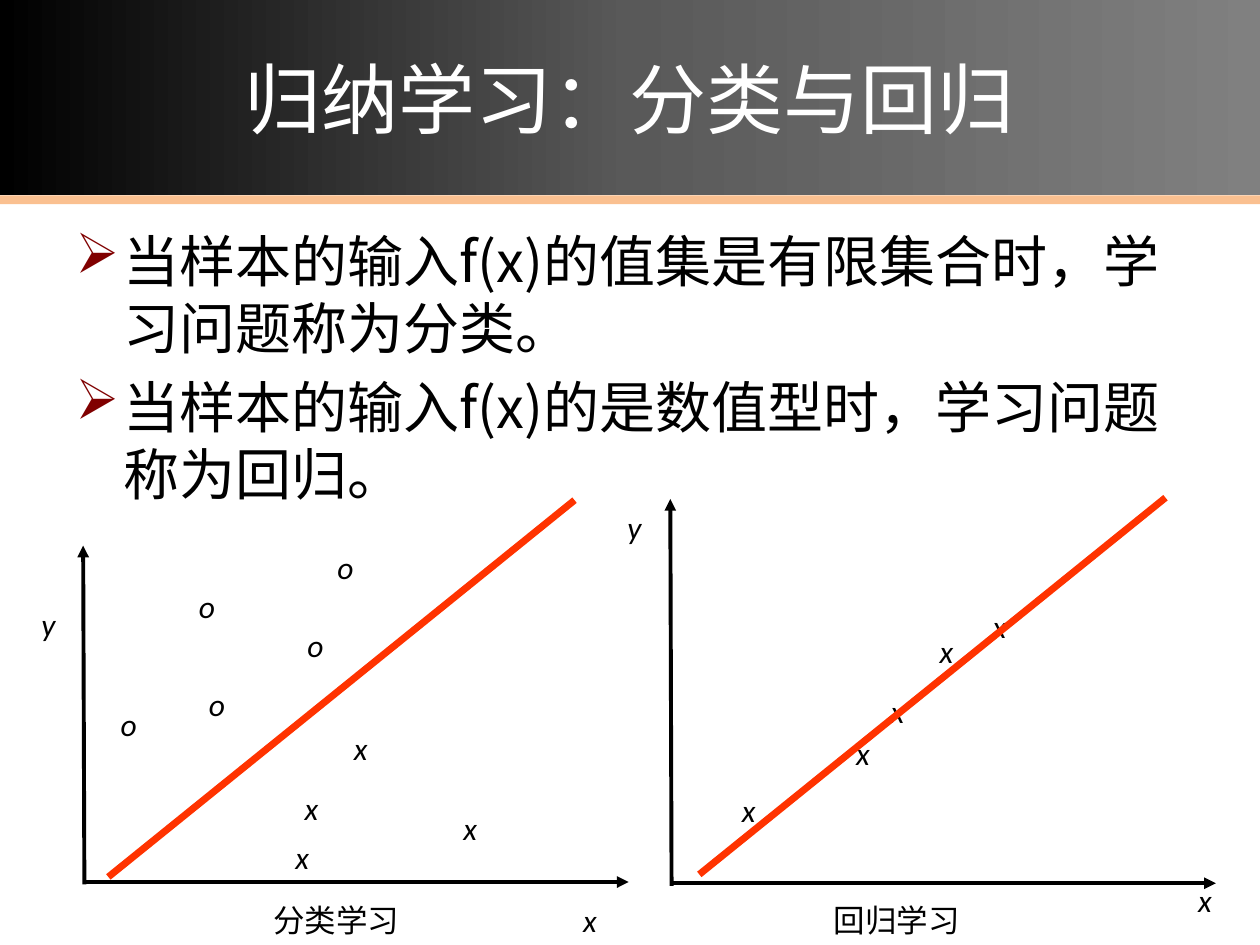
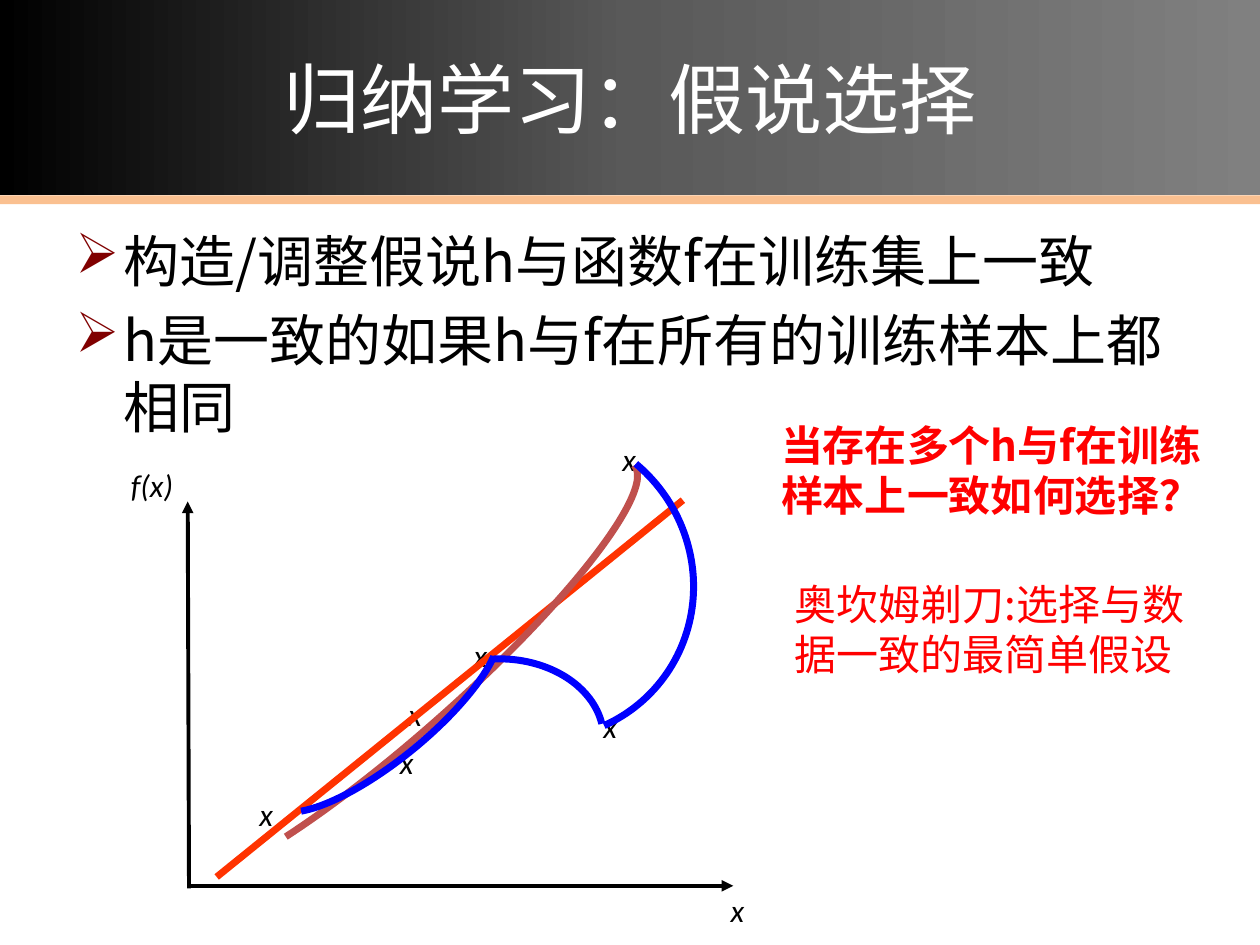
"""Build two slides on inductive learning: classification, regression and hypothesis choice."""
import copy
from dataclasses import dataclass

import pptx
import pptx.dml.color
import pptx.enum.shapes
import pptx.enum.text
import pptx.oxml
import pptx.oxml.ns
import pptx.util

Inches = pptx.util.Inches
Pt = pptx.util.Pt
Align = pptx.enum.text.PP_ALIGN
Anchor = pptx.enum.text.MSO_ANCHOR
Shape = pptx.enum.shapes.MSO_SHAPE


@dataclass(frozen=True)
class Theme:
    cjk: str = "Noto Sans CJK SC"
    latin: str = "Calibri"
    black: str = "000000"
    white: str = "FFFFFF"
    rule: str = "FAC090"
    bullet: str = "800000"
    fit: str = "FF3300"
    note: str = "FF0000"
    smooth: str = "C0504D"
    wiggle: str = "0000FF"
    band: tuple = ((0, "000000"), (0.5, "595959"), (1, "808080"))
    title_size: int = 44
    body_size: int = 32
    note_size: int = 24
    label_size: int = 18
    axis_width: float = 2.25
    curve_width: float = 4
    leading: float = 1.2


def rgb(value):
    return pptx.dml.color.RGBColor.from_string(value)


def child(parent, tag, **attributes):
    element = pptx.oxml.parse_xml(f"<a:{tag} {pptx.oxml.ns.nsdecls('a')}/>")
    for name, value in attributes.items():
        element.set(name, value)
    parent.append(element)
    return element


def write(p, text, *, font, size, color, bold=False, italic=False,
          align=Align.LEFT, leading=None):
    p.alignment = align
    if leading:
        p.line_spacing = Pt(size * leading)
    r = p.add_run()
    r.text = text
    r.font.name = font
    r.font.size = Pt(size)
    r.font.bold = bold
    r.font.italic = italic
    r.font.color.rgb = rgb(color)
    child(r._r.get_or_add_rPr(), "ea", typeface=font)


class Deck:
    def __init__(self, theme):
        self.theme = theme
        self.prs = pptx.Presentation()
        self.prs.slide_width, self.prs.slide_height = Inches(10), Inches(7.5)
        self.s = None

    def add_slide(self, title):
        t = self.theme
        self.s = self.prs.slides.add_slide(self.prs.slide_layouts[6])
        rule = self.shape(Shape.RECTANGLE, 0, 1.55, 10, 0.07)
        rule.fill.solid()
        rule.fill.fore_color.rgb = rgb(t.rule)
        band = self.shape(Shape.RECTANGLE, 0, 0, 10, 1.55)
        band.fill.gradient()
        band.fill.gradient_angle = 0
        stops = band._element.spPr.find(".//" + pptx.oxml.ns.qn("a:gsLst"))
        stops.insert(1, copy.deepcopy(stops[0]))
        for stop, (position, color) in zip(band.fill.gradient_stops, t.band):
            stop.position = position
            stop.color.rgb = rgb(color)
        tf = band.text_frame
        tf.vertical_anchor = Anchor.MIDDLE
        write(tf.paragraphs[0], title, font=t.cjk, size=t.title_size,
              color=t.white, align=Align.CENTER)

    def shape(self, kind, x, y, w, h):
        sp = self.s.shapes.add_shape(kind, Inches(x), Inches(y), Inches(w), Inches(h))
        sp.shadow.inherit = False
        sp.line.fill.background()
        return sp

    def text_box(self, x, y, w, h, wrap=True):
        tf = self.s.shapes.add_textbox(Inches(x), Inches(y), Inches(w), Inches(h)).text_frame
        tf.word_wrap = wrap
        return tf

    def bullets(self, height, items):
        t = self.theme
        tf = self.text_box(0.5, 1.75, 9, height)
        for i, item in enumerate(items):
            p = tf.add_paragraph() if i else tf.paragraphs[0]
            write(p, item, font=t.cjk, size=t.body_size, color=t.black, leading=t.leading)
            p.space_before = Pt(t.body_size * 0.2)
            pPr = p._p.get_or_add_pPr()
            pPr.set("marL", str(Inches(0.38)))
            pPr.set("indent", str(-Inches(0.38)))
            child(child(pPr, "buClr"), "srgbClr", val=t.bullet)
            child(pPr, "buChar", char="➢")

    def caption(self, text, x, y):
        t = self.theme
        tf = self.text_box(x, y, 1.21, 0.4, wrap=False)
        write(tf.paragraphs[0], text, font=t.cjk, size=t.label_size,
              color=t.black, leading=t.leading)

    def note(self, text, x, y, bold=False):
        t = self.theme
        tf = self.text_box(x, y, 3.59, 0.91)
        write(tf.paragraphs[0], text, font=t.cjk, size=t.note_size,
              color=t.note, bold=bold, leading=t.leading)

    def marks(self, text, *points, align=Align.LEFT):
        t = self.theme
        for x, y in points:
            tf = self.text_box(x, y, 0.79, 0.4)
            write(tf.paragraphs[0], text, font=t.latin, size=t.label_size,
                  color=t.black, italic=True, align=align)

    def line(self, start, end, color, width, arrow=False):
        cn = self.s.shapes.add_connector(
            pptx.enum.shapes.MSO_CONNECTOR.STRAIGHT, *map(Inches, (*start, *end)))
        cn.line.color.rgb = rgb(color)
        cn.line.width = Pt(width)
        if arrow:
            child(cn.line._get_or_add_ln(), "tailEnd", type="triangle")
        child(cn._element.spPr, "effectLst")

    def axes(self, x, y, top):
        t = self.theme
        for start, end in (((x, y), (x + 4.32, y)), ((x, y + 0.02), (x - 0.01, top))):
            self.line(start, end, t.black, t.axis_width, arrow=True)

    def fit_line(self, x, y):
        self.line((x, y), (x + 3.7, y - 2.99), self.theme.fit, self.theme.curve_width)

    def arc(self, x, y, w, h, rotation, start, end, color):
        sp = self.shape(Shape.ARC, x, y, w, h)
        sp.rotation = rotation
        sp.adjustments[0], sp.adjustments[1] = start, end
        sp.fill.background()
        sp.line.color.rgb = rgb(color)
        sp.line.width = Pt(self.theme.curve_width)


def classification_and_regression(deck):
    deck.add_slide("归纳学习：分类与回归")
    deck.bullets(2.23, ["当样本的输入f(x)的值集是有限集合时，学习问题称为分类。",
                        "当样本的输入f(x)的是数值型时，学习问题称为回归。"])
    deck.axes(5.33, 7.01, 3.96)
    deck.marks("x", (9.41, 6.94), (5.79, 6.23), (6.97, 5.44), (7.36, 4.97), (7.78, 4.77))
    deck.marks("x", (6.21, 5.78), align=Align.RIGHT)
    deck.fit_line(5.55, 6.94)
    deck.marks("y", (4.88, 3.98), (0.23, 4.75))
    deck.caption("回归学习", 6.52, 7.1)

    deck.axes(0.67, 7, 4.33)
    deck.marks("x", (4.53, 7.1), (2.32, 6.21), (2.71, 5.74), (3.58, 6.37))
    deck.marks("x", (1.76, 6.6), align=Align.RIGHT)
    deck.fit_line(0.86, 6.96)
    deck.marks("o", (1.48, 4.61), (2.34, 4.92), (1.56, 5.39), (0.86, 5.55), (2.58, 4.3))
    deck.caption("分类学习", 2.07, 7.1)


def hypothesis_choice(deck):
    t = deck.theme
    deck.add_slide("归纳学习：假说选择")
    deck.bullets(4.95, ["构造/调整假说h与函数f在训练集上一致",
                        "h是一致的如果h与f在所有的训练样本上都相同"])
    deck.axes(1.5, 7.03, 3.98)
    deck.marks("f(x)", (0.94, 3.65))
    deck.marks("x", (5.7, 7.02), (1.96, 6.26), (3.14, 5.47), (3.66, 5),
               (4.84, 3.44), (4.69, 5.56))
    deck.marks("x", (2.59, 5.85), align=Align.RIGHT)
    deck.fit_line(1.72, 6.96)
    deck.arc(2.71, 2.86, 0.94, 4.96, 48.4, 162, 45.97, t.smooth)
    deck.arc(1.91, 5.32, 2.28, 0.71, 140.8, 114.64, 210.06, t.wiggle)
    deck.arc(3.14, 5.23, 1.65, 1.26, 0, 158.17, 211.16, t.wiggle)
    deck.arc(3.01, 3.4, 2.51, 2.45, 46, 158.17, 11.38, t.wiggle)
    deck.note("奥坎姆剃刀:选择与数据一致的最简单假设", 6.21, 4.54)
    deck.note("当存在多个h与f在训练样本上一致如何选择？", 6.1, 3.28, bold=True)


def main():
    deck = Deck(Theme())
    classification_and_regression(deck)
    hypothesis_choice(deck)
    deck.prs.save("out.pptx")


if __name__ == "__main__":
    main()
